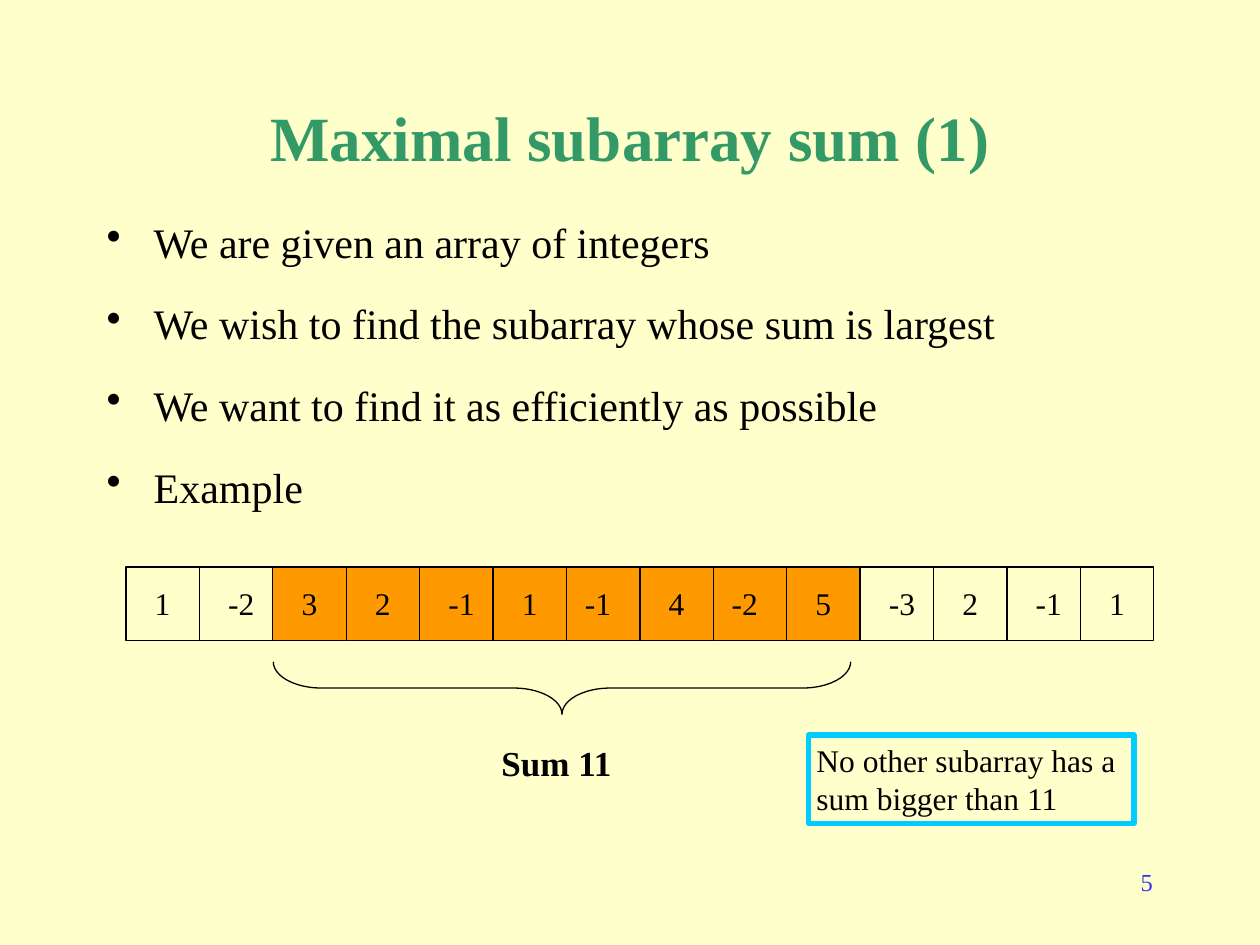
from dataclasses import dataclass

from lxml import etree
from pptx import Presentation
from pptx import util as u
from pptx.dml.color import RGBColor
from pptx.enum import shapes, text
from pptx.oxml import ns

CREAM = RGBColor(0xFF, 0xFF, 0xCC)
GREEN = RGBColor(0x33, 0x99, 0x66)
BLUE = RGBColor(0x33, 0x33, 0xFF)
CYAN = RGBColor(0x00, 0xCC, 0xFF)
ORANGE = RGBColor(0xFF, 0x99, 0x00)
BLACK = RGBColor(0, 0, 0)
FONT = "Times New Roman"
SIDE = 1.48
LEFT = 2.54
TOP = 11.43
INSET = 0.16


@dataclass
class Box:
    x: float
    y: float
    w: float
    h: float

    def area(self) -> tuple:
        return u.Cm(self.x), u.Cm(self.y), u.Cm(self.w), u.Cm(self.h)


@dataclass
class Cell:
    value: int
    best: bool = False
    shift: float = 0.42


POINTS = (
    "We are given an array of integers",
    "We wish to find the subarray whose sum is largest",
    "We want to find it as efficiently as possible",
    "Example",
)
CELLS = (
    Cell(1), Cell(-2),
    Cell(3, True), Cell(2, True), Cell(-1, True), Cell(1, True),
    Cell(-1, True, 0.21), Cell(4, True), Cell(-2, True, 0.21), Cell(5, True),
    Cell(-3), Cell(2), Cell(-1), Cell(1),
)


def style(para, size: float, color=BLACK, bold=False, align=text.PP_ALIGN.LEFT):
    para.alignment = align
    for run in para.runs:
        run.font.name = FONT
        run.font.size = u.Pt(size)
        run.font.bold = bold
        run.font.color.rgb = color


def write(shape, words: str, size: float, inset=INSET, **look):
    frame = shape.text_frame
    frame.word_wrap = True
    frame.vertical_anchor = text.MSO_ANCHOR.TOP
    frame.margin_left = frame.margin_right = u.Cm(inset)
    frame.text = words
    style(frame.paragraphs[0], size, **look)


def label(slide, box: Box, words: str, size: float, **look):
    write(slide.shapes.add_textbox(*box.area()), words, size, **look)


def outline(slide, kind, box: Box, line=BLACK, width=0.75, fill=None):
    shape = slide.shapes.add_shape(kind, *box.area())
    shape.shadow.inherit = False
    if fill is None:
        shape.fill.background()
    else:
        shape.fill.solid()
        shape.fill.fore_color.rgb = fill
    shape.line.color.rgb = line
    shape.line.width = u.Pt(width)
    return shape


def bullet(para):
    props = para._p.get_or_add_pPr()
    props.set("marL", str(u.Cm(0.95)))
    props.set("indent", str(u.Cm(-0.95)))
    etree.SubElement(props, ns.qn("a:buChar")).set("char", "•")


def bullets(slide, box: Box):
    frame = slide.shapes.add_textbox(*box.area()).text_frame
    frame.word_wrap = True
    frame.text = "\n".join(POINTS)
    for i, para in enumerate(frame.paragraphs):
        bullet(para)
        if i:
            para.space_before = u.Pt(18)
        style(para, 24)


def array(slide):
    for i, cell in enumerate(CELLS):
        x = LEFT + i * SIDE
        outline(slide, shapes.MSO_SHAPE.RECTANGLE, Box(x, TOP, SIDE, SIDE),
                fill=ORANGE if cell.best else None)
    for i, cell in enumerate(CELLS):
        x = LEFT + i * SIDE + cell.shift
        label(slide, Box(x, TOP + 0.21, SIDE, 1.02), str(cell.value), 18)


def main():
    deck = Presentation()
    deck.slide_width, deck.slide_height = u.Cm(25.4), u.Cm(19.05)
    slide = deck.slides.add_slide(deck.slide_layouts[5])
    slide.background.fill.solid()
    slide.background.fill.fore_color.rgb = CREAM

    title = slide.shapes.title
    title.left, title.top, title.width, title.height = Box(1.9, 1.7, 21.6, 2.11).area()
    write(title, "Maximal subarray sum (1)", 36, color=GREEN, bold=True,
          align=text.PP_ALIGN.CENTER)
    title.text_frame.vertical_anchor = text.MSO_ANCHOR.MIDDLE

    bullets(slide, Box(1.9, 4.23, 21.6, 11.43))
    array(slide)

    brace = outline(slide, shapes.MSO_SHAPE.LEFT_BRACE, Box(10.8, 8.05, 1.06, 11.64))
    brace.rotation = 270
    brace.adjustments[0] = 0.92

    label(slide, Box(9.95, 14.82, 4.45, 1.12), "Sum 11", 20, bold=True)
    note = outline(slide, shapes.MSO_SHAPE.RECTANGLE, Box(16.3, 14.82, 6.56, 1.78),
                   line=CYAN, width=3)
    write(note, "No other subarray has a sum bigger than 11", 18)
    label(slide, Box(18.2, 17.36, 5.29, 1.27), "5", 14, inset=0.25, color=BLUE,
          align=text.PP_ALIGN.RIGHT)
    deck.save("out.pptx")


if __name__ == "__main__":
    main()
